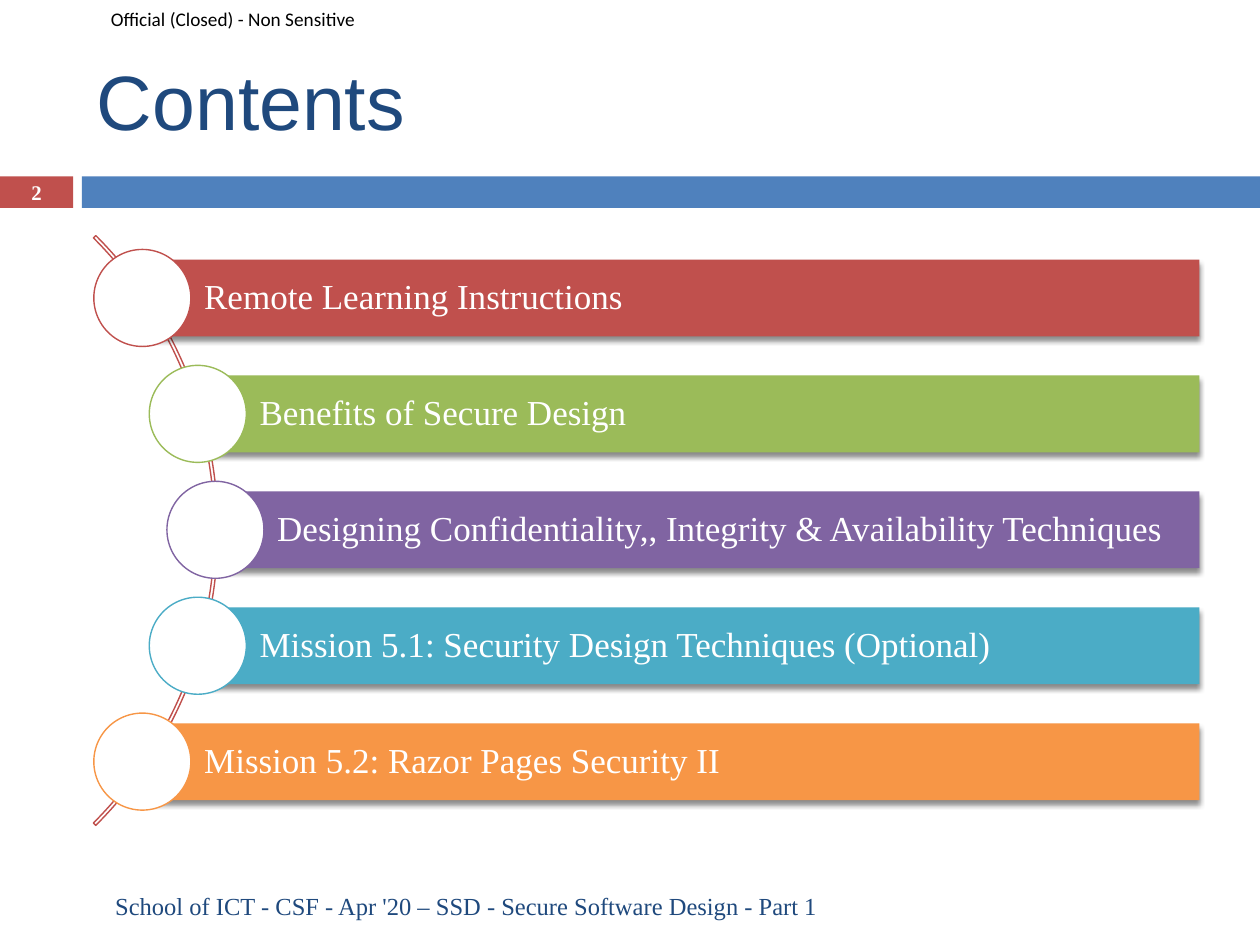
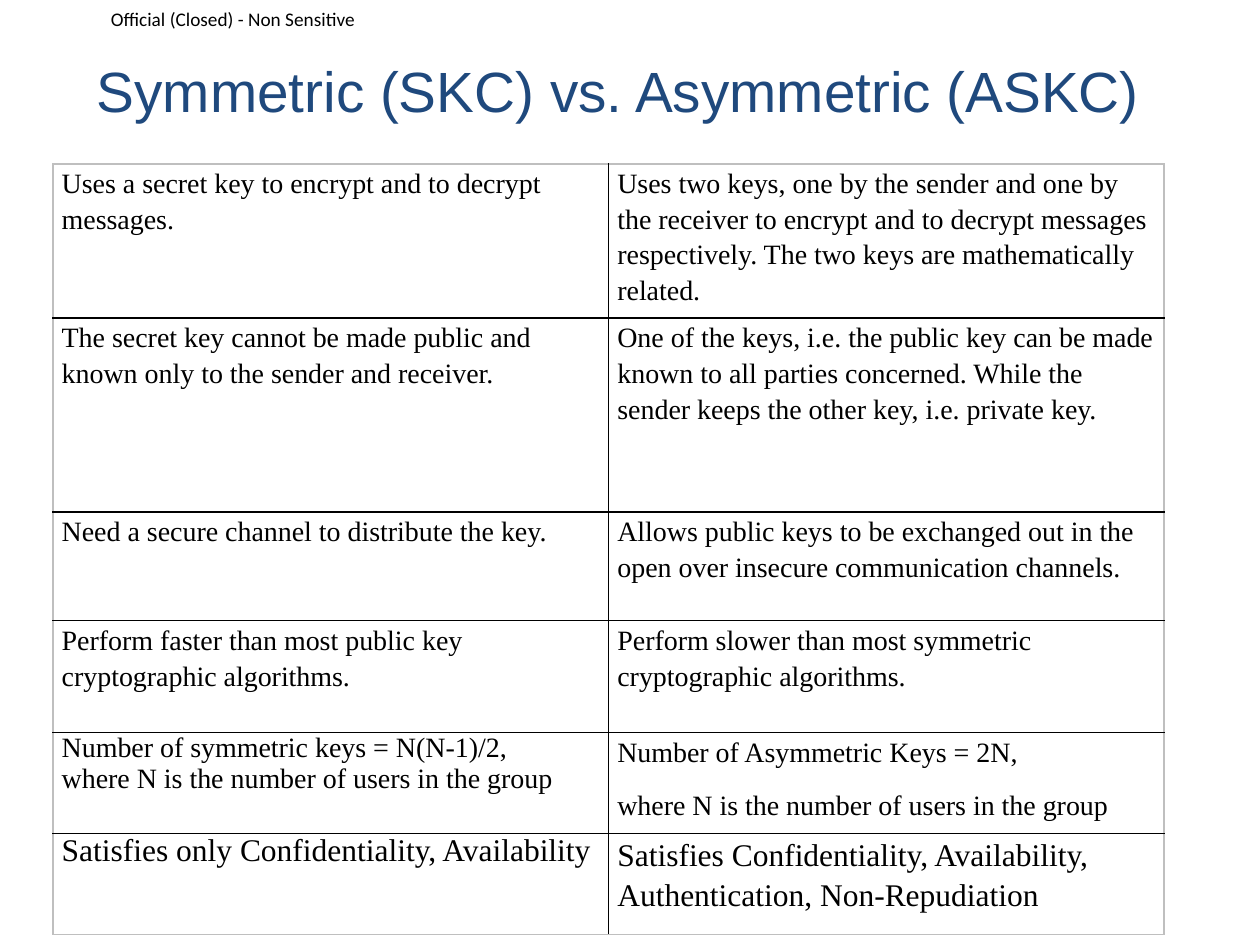
from dataclasses import dataclass

from lxml.etree import SubElement
from pptx import Presentation
from pptx.dml.color import RGBColor
from pptx.enum.shapes import MSO_SHAPE
from pptx.enum.text import MSO_ANCHOR, PP_ALIGN
from pptx.oxml.ns import qn
from pptx.util import Inches, Pt

HUES = {
    "white": "FFFFFF", "black": "000000", "grey": "BFBFBF", "navy": "1F497D",
    "blue": "4F81BD", "red": "C0504D", "green": "9BBB59",
    "purple": "8064A2", "teal": "4BACC6", "orange": "F79646",
}
SERIF = "Times New Roman"


@dataclass(frozen=True)
class Style:
    size: float
    hue: str
    font: str = SERIF
    bold: bool = False
    align: PP_ALIGN = PP_ALIGN.LEFT
    lead: float = 1.0
    after: float = 0


@dataclass(frozen=True)
class Box:
    left: float
    top: float
    width: float
    height: float

    def place(self) -> list:
        return [Inches(n) for n in (self.left, self.top, self.width, self.height)]


@dataclass(frozen=True)
class Topic:
    text: str
    hue: str
    left: float


@dataclass(frozen=True)
class Entry:
    lines: tuple
    style: Style


@dataclass(frozen=True)
class Row:
    height: float
    left: Entry
    right: Entry


LABEL = Style(11, "black", "Calibri")
NUMBER = Style(11.9, "white", bold=True, align=PP_ALIGN.CENTER)
TOPIC = Style(20, "white", lead=0.9)
FOOTER = Style(14, "navy", align=PP_ALIGN.RIGHT)
BODY = Style(16, "black", lead=1.15, after=10)
DENSE = Style(16, "black", lead=1.15, after=6)
TIGHT = Style(16, "black")
LARGE = Style(18, "black", lead=1.15, after=10)
LARGE_TIGHT = Style(18, "black")

TOPICS = [
    Topic("Remote Learning Instructions", "red", 1.13),
    Topic("Benefits of Secure Design", "green", 1.57),
    Topic("Designing Confidentiality,, Integrity & Availability Techniques", "purple", 1.71),
    Topic("Mission 5.1: Security Design Techniques (Optional)", "teal", 1.57),
    Topic("Mission 5.2: Razor Pages Security II", "orange", 1.13),
]

ROWS = [
    Row(1.19,
        Entry(("Uses a secret key to encrypt and to decrypt messages.",), BODY),
        Entry(("Uses two keys, one by the sender and one by the receiver to encrypt and to "
               "decrypt messages respectively. The two keys are mathematically related.",), DENSE)),
    Row(1.54,
        Entry(("The secret key cannot be made public and known only to the sender and "
               "receiver.",), BODY),
        Entry(("One of the keys, i.e. the public key can be made known to all parties concerned. "
               "While the sender keeps the other key, i.e. private key.",), BODY)),
    Row(0.86,
        Entry(("Need a secure channel to distribute the key.",), BODY),
        Entry(("Allows public keys to be exchanged out in the open over insecure communication "
               "channels.",), BODY)),
    Row(0.89,
        Entry(("Perform faster than most public key cryptographic algorithms.",), BODY),
        Entry(("Perform slower than most symmetric cryptographic algorithms.",), BODY)),
    Row(0.8,
        Entry(("Number of symmetric keys = N(N-1)/2,",
               "where N is the number of users in the group"), TIGHT),
        Entry(("Number of Asymmetric Keys = 2N,",
               "where N is the number of users in the group"), BODY)),
    Row(0.8,
        Entry(("Satisfies only Confidentiality, Availability",), LARGE_TIGHT),
        Entry(("Satisfies Confidentiality, Availability, Authentication, Non-Repudiation",),
              LARGE)),
]


def tint(name: str) -> RGBColor:
    return RGBColor.from_string(HUES[name])


def write(frame, lines: tuple, style: Style) -> None:
    for i, line in enumerate(lines):
        para = frame.add_paragraph() if i else frame.paragraphs[0]
        para.alignment = style.align
        para.line_spacing = style.lead
        para.space_after = Pt(style.after)
        run = para.add_run()
        run.text = line
        run.font.size = Pt(style.size)
        run.font.name = style.font
        run.font.bold = style.bold
        run.font.color.rgb = tint(style.hue)


def inset(item, left: float, top: float, right: float, bottom: float) -> None:
    item.margin_left, item.margin_top = Inches(left), Inches(top)
    item.margin_right, item.margin_bottom = Inches(right), Inches(bottom)


def add_text(slide, box: Box, text: str, style: Style, side: float = 0.1) -> None:
    frame = slide.shapes.add_textbox(*box.place()).text_frame
    frame.word_wrap = True
    frame.vertical_anchor = MSO_ANCHOR.MIDDLE
    inset(frame, side, side / 2, side, side / 2)
    write(frame, (text,), style)


def add_form(slide, kind: MSO_SHAPE, box: Box, fill: str = "", line: str = ""):
    form = slide.shapes.add_shape(kind, *box.place())
    form.shadow.inherit = False
    if fill:
        form.fill.solid()
        form.fill.fore_color.rgb = tint(fill)
    else:
        form.fill.background()
    if line:
        form.line.color.rgb = tint(line)
        form.line.width = Pt(0.79)
    else:
        form.line.fill.background()
    return form


def add_head(slide, title: str, size: float, top: float) -> None:
    add_form(slide, MSO_SHAPE.RECTANGLE, Box(0, 1.4, 0.58, 0.25), "red")
    add_form(slide, MSO_SHAPE.RECTANGLE, Box(0.65, 1.4, 9.35, 0.25), "blue")
    add_text(slide, Box(0.88, 0, 2.13, 0.3), "Official (Closed) - Non Sensitive", LABEL, 0)
    add_text(slide, Box(0.67, top, 8.92, 1.08), title, Style(size, "navy", "Arial"))


def add_arc(slide) -> None:
    arc = add_form(slide, MSO_SHAPE.BLOCK_ARC, Box(-4.89, 0.9, 6.62, 6.62), line="red")
    for i, value in enumerate((189, 27, 0.004)):
        arc.adjustments[i] = value


def add_shade(form) -> None:
    cast = SubElement(form._element.spPr.find(qn("a:effectLst")), qn("a:outerShdw"),
                      blurRad=str(Pt(3)), dist=str(Pt(2.4)), dir="5400000", rotWithShape="0")
    color = SubElement(cast, qn("a:srgbClr"), val=HUES["black"])
    SubElement(color, qn("a:alpha"), val="45000")


def add_topic(slide, topic: Topic, top: float) -> None:
    high, round_size, right = 0.61, 0.77, 9.52
    box = Box(topic.left, top, right - topic.left, high)
    bar = add_form(slide, MSO_SHAPE.RECTANGLE, box, topic.hue)
    add_shade(bar)
    frame = bar.text_frame
    frame.word_wrap = True
    frame.vertical_anchor = MSO_ANCHOR.MIDDLE
    inset(frame, 0.49, 0.06, 0.06, 0.06)
    write(frame, (topic.text,), TOPIC)
    dot = Box(topic.left - round_size / 2, top + (high - round_size) / 2, round_size, round_size)
    add_form(slide, MSO_SHAPE.OVAL, dot, "white", topic.hue)


def add_edge(cell, side: str, hue: str) -> None:
    edge = SubElement(cell._tc.get_or_add_tcPr(), qn(f"a:ln{side}"), w=str(Pt(1)))
    fill = SubElement(edge, qn("a:solidFill"))
    SubElement(fill, qn("a:srgbClr"), val=HUES[hue])


def add_grid(slide, rows: list) -> None:
    box = Box(0.42, 1.3, 8.82, sum(row.height for row in rows))
    grid = slide.shapes.add_table(len(rows), 2, *box.place()).table
    grid.first_row = grid.horz_banding = False
    for col in grid.columns:
        col.width = Inches(box.width / 2)
    for r, row in enumerate(rows):
        grid.rows[r].height = Inches(row.height)
        for c, entry in enumerate((row.left, row.right)):
            cell = grid.cell(r, c)
            inset(cell, 0.07, 0, 0.07, 0)
            outer = {"L": c == 0, "R": c == 1, "T": r == 0, "B": r == len(rows) - 1}
            for side, edge in outer.items():
                add_edge(cell, side, "grey" if edge else "black")
            cell.fill.background()
            write(cell.text_frame, entry.lines, entry.style)


def main() -> None:
    deck = Presentation()
    deck.slide_width, deck.slide_height = Inches(10), Inches(7.5)
    blank = deck.slide_layouts[6]

    slide = deck.slides.add_slide(blank)
    add_head(slide, "Contents", 44, 0.25)
    add_text(slide, Box(0, 1.39, 0.58, 0.27), "2", NUMBER)
    add_arc(slide)
    for i, topic in enumerate(TOPICS):
        add_topic(slide, topic, 2.06 + 0.92 * i)
    add_text(slide, Box(0.14, 6.99, 6.45, 0.4),
             "School of ICT - CSF - Apr '20 – SSD - Secure Software Design - Part 1", FOOTER)

    slide = deck.slides.add_slide(blank)
    add_head(slide, "Symmetric (SKC) vs. Asymmetric (ASKC)", 32.4, 0.17)
    add_form(slide, MSO_SHAPE.RECTANGLE, Box(0, 1.16, 10, 0.81), "white")
    add_grid(slide, ROWS)

    deck.save("out.pptx")


if __name__ == "__main__":
    main()
